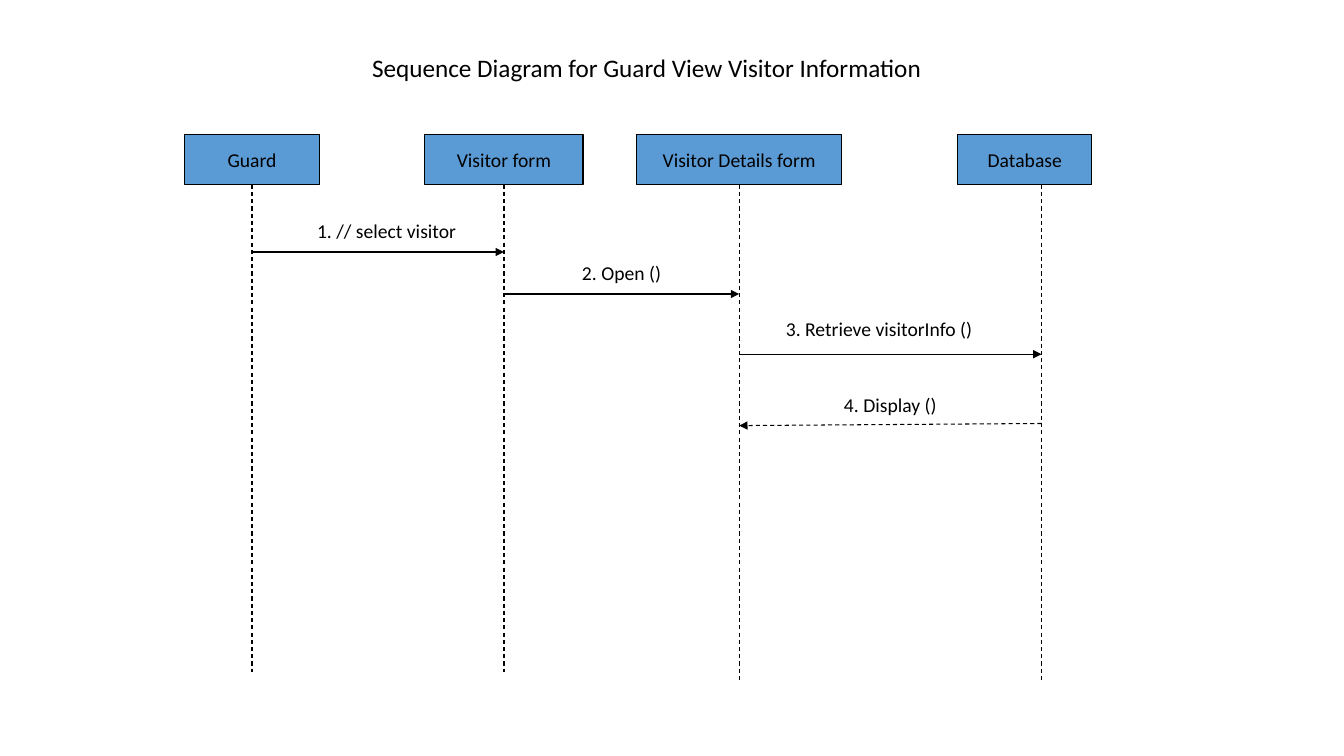
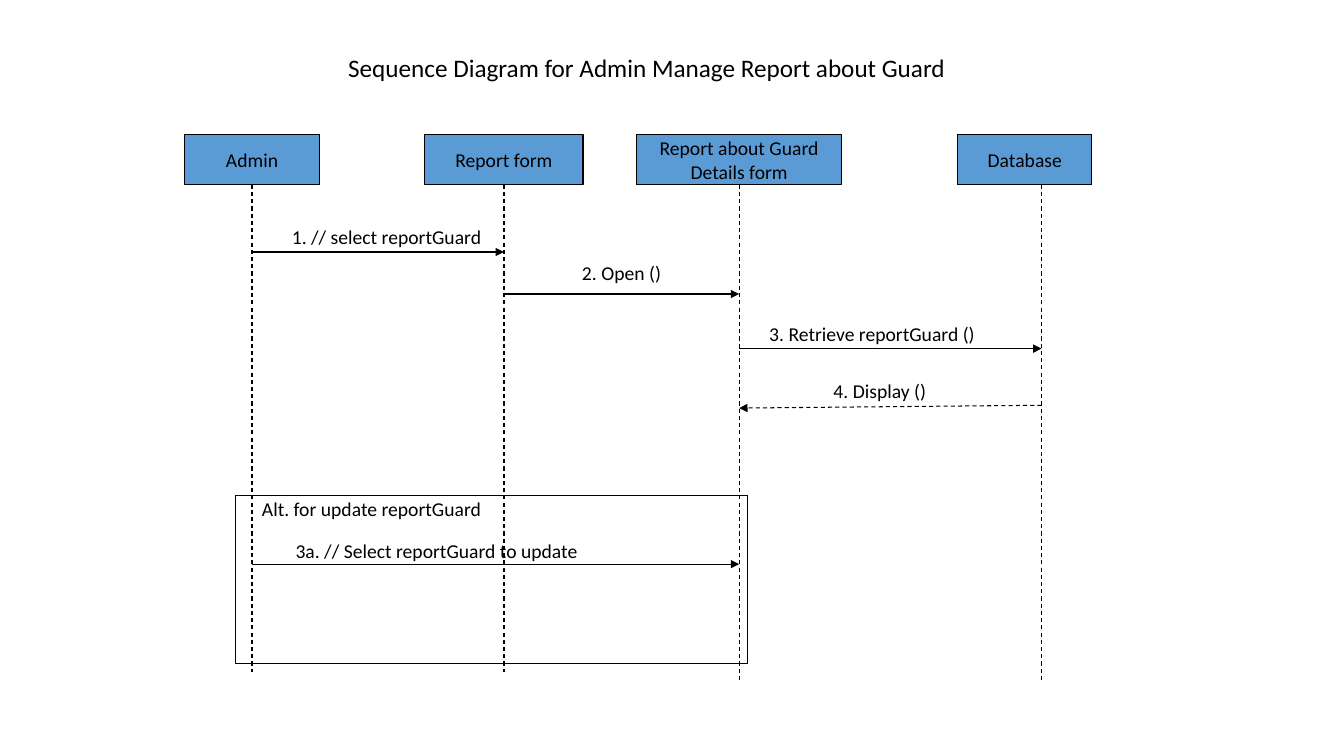
from pptx import Presentation
from pptx.dml.color import RGBColor
from pptx.enum.dml import MSO_LINE
from pptx.enum.shapes import MSO_CONNECTOR, MSO_SHAPE
from pptx.enum.text import MSO_ANCHOR, PP_ALIGN
from pptx.util import Pt
from lxml.etree import SubElement
from pptx.oxml.ns import qn

BLACK = RGBColor(0x00, 0x00, 0x00)
WHITE = RGBColor(0xFF, 0xFF, 0xFF)
BLUE = RGBColor(0x5B, 0x9B, 0xD5)
FONT = "Calibri"
THIN = 0.75

TITLE = (264, 24, 396, 48)
CHART = (132, 96, 648, 390)
FRAME = (168, 354, 366, 120)
HEADS = [(0, 96), (171.5, 113), (323, 146), (552, 96)]
LANES = [48, 228, 396, 612]
ENDS = [384, 384, 390, 390]
HEAD = 36
LABEL = 18


def write(shape, lines, size=14, align=PP_ALIGN.CENTER):
    frame = shape.text_frame
    frame.word_wrap = False
    frame.vertical_anchor = MSO_ANCHOR.MIDDLE
    for i, line in enumerate(lines):
        para = frame.add_paragraph() if i else frame.paragraphs[0]
        para.alignment = align
        run = para.add_run()
        run.text = line
        run.font.size = Pt(size)
        run.font.name = FONT
        run.font.color.rgb = BLACK


def block(slide, box, fill, edge):
    shape = slide.shapes.add_shape(MSO_SHAPE.RECTANGLE, *map(Pt, box))
    shape.shadow.inherit = False
    if fill is None:
        shape.fill.background()
    else:
        shape.fill.solid()
        shape.fill.fore_color.rgb = fill
    shape.line.color.rgb = edge
    shape.line.width = Pt(THIN)
    return shape


def note(slide, box, text):
    shape = slide.shapes.add_textbox(*map(Pt, box))
    write(shape, [text], align=PP_ALIGN.LEFT)


def link(slide, ends, dash=False, arrow=True):
    line = slide.shapes.add_connector(MSO_CONNECTOR.STRAIGHT, *map(Pt, ends))
    line.line.color.rgb = BLACK
    line.line.width = Pt(THIN)
    if dash:
        line.line.dash_style = MSO_LINE.DASH
    if arrow:
        tail = SubElement(line.line._get_or_add_ln(), qn("a:tailEnd"))
        tail.set("type", "triangle")
    SubElement(line._element.spPr, qn("a:effectLst"))
    return line


def title(slide, box, text):
    write(block(slide, box, WHITE, WHITE), [text], 18)


def lanes(slide, box, names):
    left, top = box[:2]
    heads = []
    for (x, width), lines in zip(HEADS, names):
        head = block(slide, (left + x, top, width, HEAD), BLUE, BLACK)
        write(head, lines)
        heads.append(head)
    for head, (x, width), lane, end in zip(heads, HEADS, LANES, ENDS):
        ends = (left + lane, top + HEAD, left + lane, top + end)
        line = link(slide, ends, dash=True, arrow=False)
        if lane == x + width / 2:
            line.begin_connect(head, 2)


def calls(slide, box, steps, labels):
    left, top = box[:2]
    for i, (start, end) in enumerate(steps):
        back = i == len(steps) - 1
        a, b = (i, i - 1) if back else (i, i + 1)
        ends = (left + LANES[a], top + start, left + LANES[b], top + end)
        link(slide, ends, dash=back)
    for text, x, y, width in labels:
        place = (left + x, top + y, width, LABEL)
        write(block(slide, place, WHITE, WHITE), [text])


def option(slide, box, head, text):
    left, top = box[:2]
    block(slide, box, None, BLACK)
    note(slide, (left + 12, top, 228, LABEL), head)
    link(slide, (left + 12, top + 49, left + 360, top + 49))
    note(slide, (left + 36, top + 30, 228, LABEL), text)


def page(deck, head, names, steps, labels):
    slide = deck.slides.add_slide(deck.slide_layouts[6])
    title(slide, TITLE, head)
    lanes(slide, CHART, names)
    calls(slide, CHART, steps, labels)
    return slide


def main():
    deck = Presentation()
    deck.slide_width = Pt(960)
    deck.slide_height = Pt(540)
    page(
        deck,
        "Sequence Diagram for Guard View Visitor Information",
        [["Guard"], ["Visitor form"], ["Visitor Details form"], ["Database"]],
        [(84, 84), (114, 114), (157, 157), (206.5, 208)],
        [
            ("1. // select visitor", 101.5, 60, 85.5),
            ("2. Open ()", 240, 90, 144),
            ("3. Retrieve visitorInfo ()", 424, 130, 144),
            ("4. Display ()", 432, 184, 144),
        ],
    )
    slide = page(
        deck,
        "Sequence Diagram for Admin Manage Report about Guard",
        [["Admin"], ["Report form"], ["Report about Guard", "Details form"], ["Database"]],
        [(84, 84), (114, 114), (153, 153), (193.5, 195.5)],
        [
            ("1. // select reportGuard", 101.5, 64, 85.5),
            ("2. Open ()", 240, 90, 144),
            ("4. Display ()", 424.5, 174, 144),
            ("3. Retrieve reportGuard ()", 419, 133.5, 144),
        ],
    )
    option(
        slide,
        FRAME,
        "Alt. for update reportGuard",
        "3a. // Select reportGuard to update",
    )
    deck.save("out.pptx")


if __name__ == "__main__":
    main()
